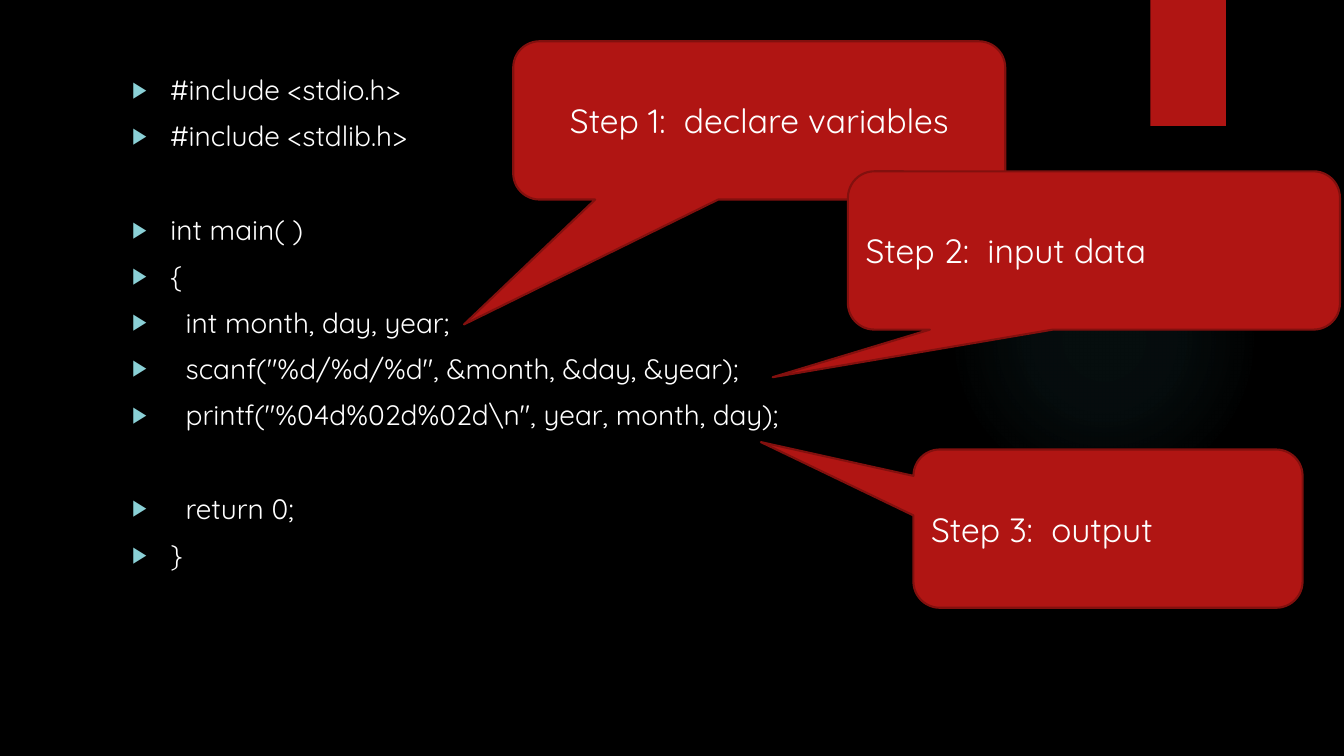
"""Build a slide that labels the three steps of a short C program."""
from dataclasses import dataclass

from lxml import etree
from pptx import Presentation
from pptx.dml.color import RGBColor
from pptx.enum.shapes import MSO_SHAPE
from pptx.enum.text import MSO_ANCHOR, MSO_AUTO_SIZE, PP_ALIGN
from pptx.oxml import parse_xml
from pptx.oxml.ns import nsdecls, qn
from pptx.util import Inches, Pt

OVAL, RECTANGLE = MSO_SHAPE.OVAL, MSO_SHAPE.RECTANGLE
CALLOUT = MSO_SHAPE.ROUNDED_RECTANGULAR_CALLOUT
LEFT, CENTER = PP_ALIGN.LEFT, PP_ALIGN.CENTER
TOP, MIDDLE = MSO_ANCHOR.TOP, MSO_ANCHOR.MIDDLE
NO_AUTOFIT = MSO_AUTO_SIZE.NONE


@dataclass(frozen=True)
class Theme:
    font: str = "Quicksand"
    background: RGBColor = RGBColor(0x00, 0x00, 0x00)
    text: RGBColor = RGBColor(0xFF, 0xFF, 0xFF)
    red: RGBColor = RGBColor(0xB0, 0x15, 0x13)
    outline: RGBColor = RGBColor(0x82, 0x10, 0x0E)
    bullet: RGBColor = RGBColor(0x8A, 0xD0, 0xD6)
    glow: RGBColor = RGBColor(0x50, 0xB9, 0xC1)
    code_size: int = 20
    step_size: int = 24
    line_gap: int = 9
    block_gap: int = 43


THEME = Theme()


def add_panel(kind, left, top, width, height):
    shape = slide.shapes.add_shape(
        kind, Inches(left), Inches(top), Inches(width), Inches(height))
    shape.shadow.inherit = False
    shape.fill.solid()
    shape.fill.fore_color.rgb = THEME.red
    shape.line.fill.background()
    return shape


def add_text(paragraph, text, size):
    run = paragraph.add_run()
    run.text = text
    run.font.name = THEME.font
    run.font.size = Pt(size)
    run.font.color.rgb = THEME.text


presentation = Presentation()
presentation.slide_width = Inches(13.33)
presentation.slide_height = Inches(7.5)
slide = presentation.slides.add_slide(presentation.slide_layouts[1])
slide.background.fill.solid()
slide.background.fill.fore_color.rgb = THEME.background
title = slide.shapes.title.element
title.getparent().remove(title)
body = slide.placeholders[1]

glow = add_panel(OVAL, 9.41, 1.83, 3.08, 3.08)
stops = "".join(
    f'<a:gs pos="{position * 1000}"><a:srgbClr val="{THEME.glow}">'
    f'<a:alpha val="{opacity * 1000}"/></a:srgbClr></a:gs>'
    for position, opacity in ((0, 7), (36, 6), (69, 0), (100, 0)))
gradient = parse_xml(
    f'<a:gradFill {nsdecls("a")}><a:gsLst>{stops}</a:gsLst><a:path path="circle">'
    '<a:fillToRect l="50000" t="50000" r="50000" b="50000"/></a:path></a:gradFill>')
solid_fill = glow.element.spPr.find(qn("a:solidFill"))
solid_fill.getparent().replace(solid_fill, gradient)
ribbon = add_panel(RECTANGLE, 11.41, 0, 0.75, 1.25)
body.element.addprevious(glow.element)
body.element.addprevious(ribbon.element)

body.left, body.top = Inches(1.21), Inches(0.67)
body.width, body.height = Inches(9.78), Inches(6.17)
code_frame = body.text_frame
code_frame.word_wrap = True
code_frame.auto_size = NO_AUTOFIT
code_frame.vertical_anchor = TOP
code_blocks = [
    ["#include <stdio.h>", "#include <stdlib.h>"],
    ["int main( )", "{", "  int month, day, year;",
     '  scanf("%d/%d/%d", &month, &day, &year);',
     '  printf("%04d%02d%02d\\n", year, month, day);'],
    ["  return 0;", "}"],
]
for block_index, block in enumerate(code_blocks):
    for line_index, code in enumerate(block):
        first = block_index == line_index == 0
        paragraph = code_frame.paragraphs[0] if first else code_frame.add_paragraph()
        properties = paragraph._p.get_or_add_pPr()
        properties.set("marL", str(Inches(0.38)))
        properties.set("indent", str(-Inches(0.38)))
        bullet_color = etree.SubElement(properties, qn("a:buClr"))
        etree.SubElement(bullet_color, qn("a:srgbClr"), val=str(THEME.bullet))
        etree.SubElement(properties, qn("a:buSzPct"), val="80000")
        etree.SubElement(properties, qn("a:buChar"), char="▶")
        gap = THEME.line_gap if line_index else THEME.block_gap
        paragraph.space_before = Pt(0 if first else gap)
        add_text(paragraph, code, THEME.code_size)

steps = [
    ("Step 1:  declare variables", 5.09, 0.41, 4.88, (-0.6, 1.289), CENTER),
    ("Step 2:  input data", 8.41, 1.7, 4.88, (-0.653, 0.801), LEFT),
    ("Step 3:  output", 9.06, 4.46, 3.86, (-0.892, -0.547), LEFT),
]
for text, left, top, width, pointer, alignment in steps:
    callout = add_panel(CALLOUT, left, top, width, 1.57)
    callout.adjustments[0], callout.adjustments[1] = pointer
    callout.line.color.rgb = THEME.outline
    callout.line.width = Pt(1.5)
    callout.text_frame.word_wrap = True
    callout.text_frame.vertical_anchor = MIDDLE
    paragraph = callout.text_frame.paragraphs[0]
    paragraph.alignment = alignment
    add_text(paragraph, text, THEME.step_size)

presentation.save("out.pptx")
